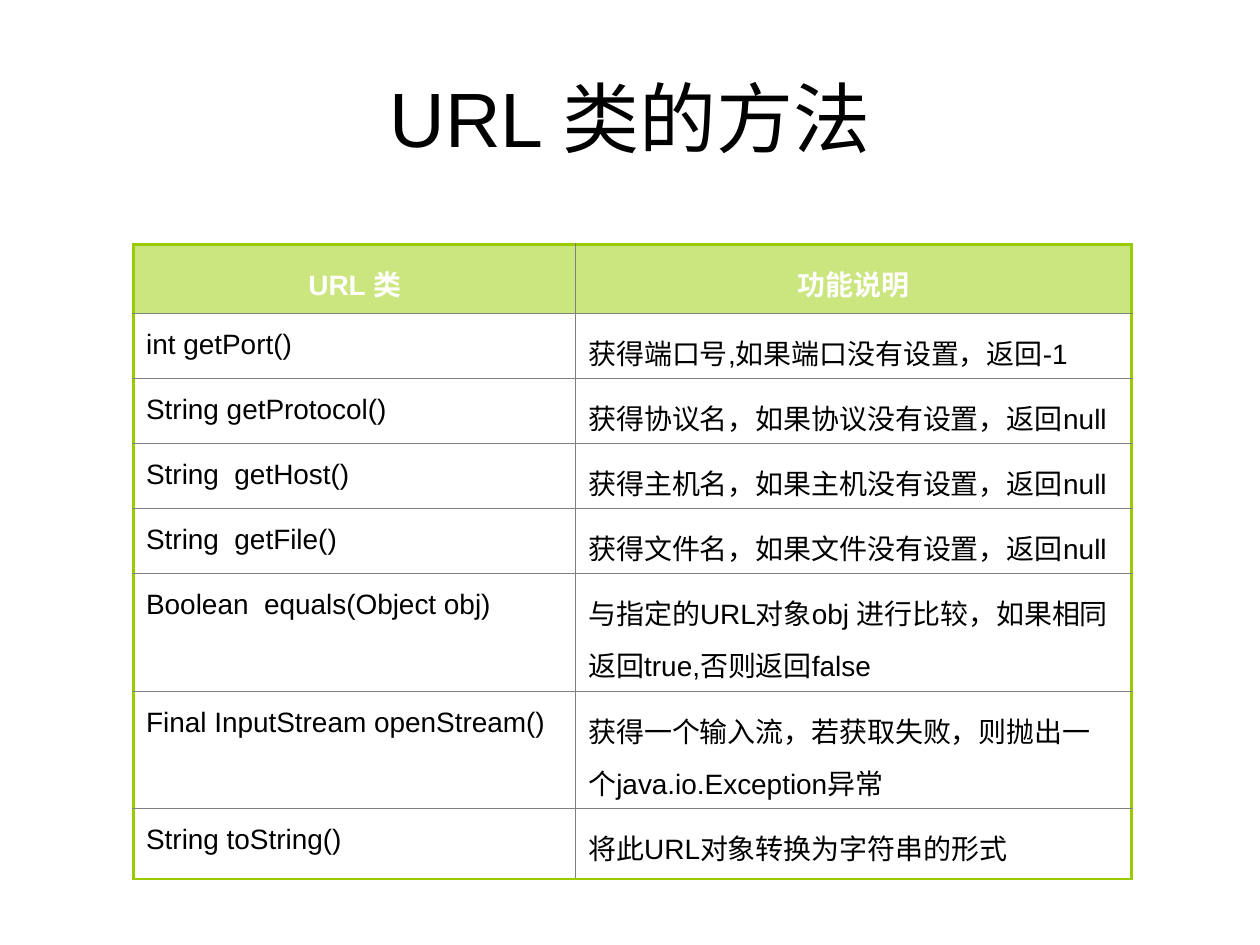
from dataclasses import dataclass

from lxml.etree import SubElement
from pptx import Presentation
from pptx.dml.color import RGBColor
from pptx.enum.text import MSO_ANCHOR, PP_ALIGN
from pptx.oxml.ns import qn
from pptx.util import Inches, Pt


@dataclass(frozen=True)
class Theme:
    font: str = "Arial"
    title_size: float = 44
    table_size: float = 16
    text: str = "000000"
    header_text: str = "FFFFFF"
    accent: str = "99CC00"
    grid: str = "808080"
    outer_width: float = 1.47
    inner_width: float = 0.75
    header_opacity: int = 50


THEME = Theme()

COLUMN_WIDTHS = [3.51, 4.41]
ROW_HEIGHTS = [0.55] + [0.47] * 4 + [0.8] * 2 + [0.56]
METHODS = [
    ("URL 类", "功能说明"),
    ("int getPort()", "获得端口号,如果端口没有设置，返回-1"),
    ("String getProtocol()", "获得协议名，如果协议没有设置，返回null"),
    ("String  getHost()", "获得主机名，如果主机没有设置，返回null"),
    ("String  getFile()", "获得文件名，如果文件没有设置，返回null"),
    ("Boolean  equals(Object obj)", "与指定的URL对象obj 进行比较，如果相同返回true,否则返回false"),
    ("Final InputStream openStream()", "获得一个输入流，若获取失败，则抛出一个java.io.Exception异常"),
    ("String toString()", "将此URL对象转换为字符串的形式"),
]


def format_runs(paragraph, size, color, bold=False):
    for run in paragraph.runs:
        run.font.name = THEME.font
        run.font.size = Pt(size)
        run.font.bold = bold
        run.font.color.rgb = RGBColor.from_string(color)


def add_title(slide, text):
    title = slide.shapes.title
    title.left, title.top = Inches(0.5), Inches(0.3)
    title.width, title.height = Inches(9), Inches(1.25)
    frame = title.text_frame
    frame.text = text
    frame.vertical_anchor = MSO_ANCHOR.MIDDLE
    paragraph = frame.paragraphs[0]
    paragraph.alignment = PP_ALIGN.CENTER
    format_runs(paragraph, THEME.title_size, THEME.text)


def set_borders(cell, outer_edges):
    """Draw accent lines on the table's outside and thin grey lines inside."""
    properties = cell._tc.get_or_add_tcPr()
    for edge, is_outer in outer_edges.items():
        width = THEME.outer_width if is_outer else THEME.inner_width
        color = THEME.accent if is_outer else THEME.grid
        line = SubElement(properties, qn(f"a:ln{edge}"), w=str(Pt(width)))
        fill = SubElement(line, qn("a:solidFill"))
        SubElement(fill, qn("a:srgbClr"), val=color)


def fill_header(cell):
    cell.fill.solid()
    cell.fill.fore_color.rgb = RGBColor.from_string(THEME.accent)
    color = cell._tc.tcPr.find(".//" + qn("a:solidFill") + "[last()]")
    color = cell._tc.tcPr.find(qn("a:solidFill")).find(qn("a:srgbClr"))
    SubElement(color, qn("a:alpha"), val=str(THEME.header_opacity * 1000))


def write_cell(cell, text, is_header):
    cell.text_frame.text = text
    paragraph = cell.text_frame.paragraphs[0]
    paragraph.alignment = PP_ALIGN.CENTER if is_header else PP_ALIGN.LEFT
    paragraph.line_spacing = 1.3
    color = THEME.header_text if is_header else THEME.text
    format_runs(paragraph, THEME.table_size, color, bold=is_header)


def add_method_table(slide):
    last_row, last_column = len(METHODS) - 1, len(COLUMN_WIDTHS) - 1
    table = slide.shapes.add_table(
        len(METHODS), len(COLUMN_WIDTHS), Inches(1.06), Inches(1.94),
        Inches(sum(COLUMN_WIDTHS)), Inches(sum(ROW_HEIGHTS))).table
    table.first_row = table.horz_banding = False
    for column, width in zip(table.columns, COLUMN_WIDTHS):
        column.width = Inches(width)
    for row, height in zip(table.rows, ROW_HEIGHTS):
        row.height = Inches(height)

    for row_index, texts in enumerate(METHODS):
        for column_index, text in enumerate(texts):
            cell = table.cell(row_index, column_index)
            write_cell(cell, text, is_header=row_index == 0)
            cell.margin_left = cell.margin_right = Inches(0.1)
            cell.margin_top = cell.margin_bottom = Inches(0.05)
            set_borders(cell, {
                "L": column_index == 0, "R": column_index == last_column,
                "T": row_index == 0, "B": row_index == last_row})
            if row_index == 0:
                fill_header(cell)
            else:
                cell.fill.background()


def main():
    presentation = Presentation()
    presentation.slide_width, presentation.slide_height = Inches(10), Inches(7.5)
    # Title Only layout
    slide = presentation.slides.add_slide(presentation.slide_layouts[5])
    add_title(slide, "URL 类的方法")
    add_method_table(slide)
    presentation.save("out.pptx")


if __name__ == "__main__":
    main()
